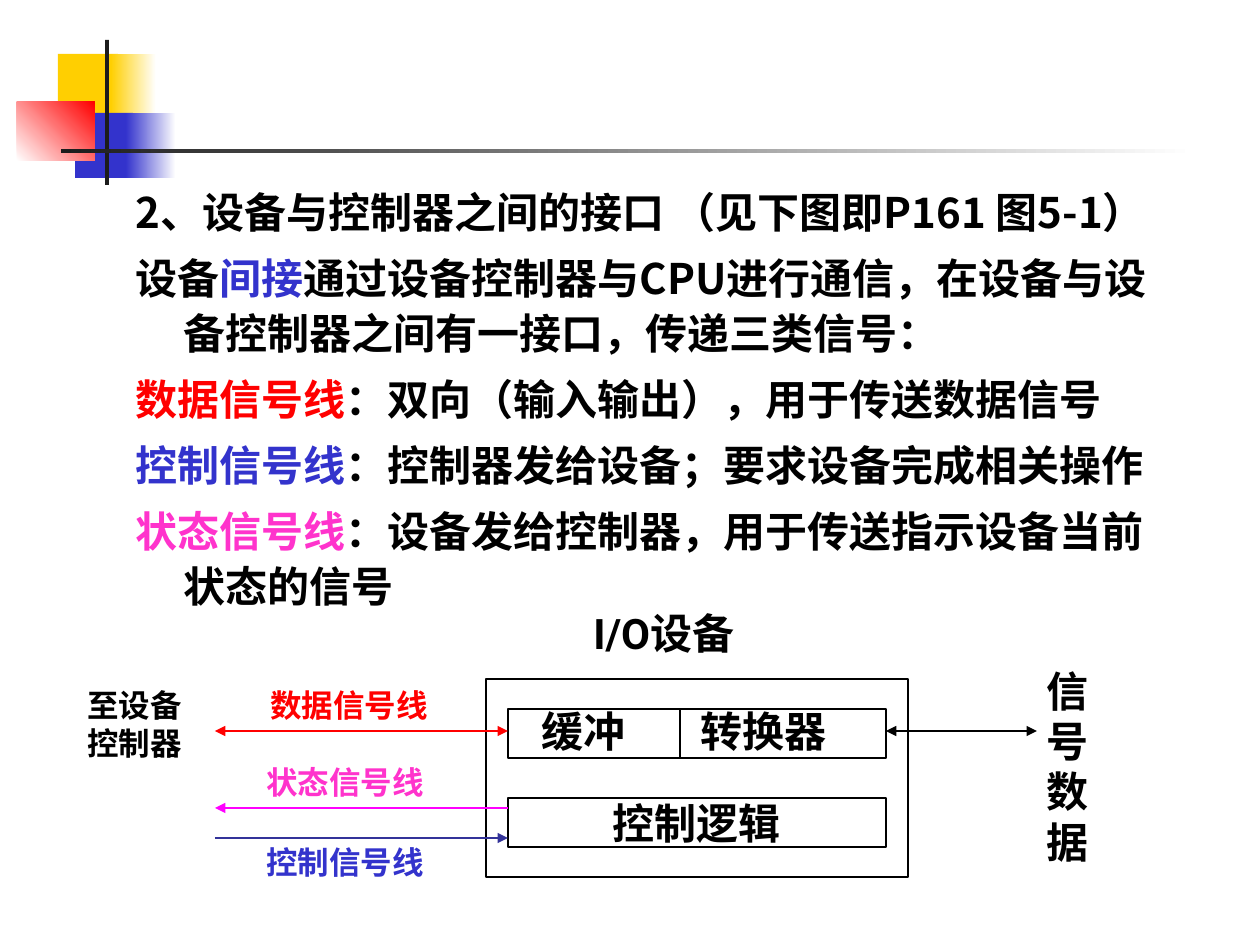
from pptx import Presentation
from pptx.dml.color import RGBColor
from pptx.enum.shapes import MSO_CONNECTOR as CONNECTOR, MSO_SHAPE as SHAPE
from pptx.enum.text import MSO_ANCHOR as ANCHOR, MSO_AUTO_SIZE as AUTO_SIZE, PP_ALIGN as ALIGN
from pptx.oxml.ns import qn
from pptx.util import Emu, Pt
from lxml.etree import SubElement

COLORS = {
    "black": "000000", "white": "FFFFFF", "ink": "1C1C1C", "yellow": "FFCF01",
    "blue": "3333CC", "red": "FF0000", "pink": "FF33CC",
    "magenta": "FF00FF", "navy": "333399",
}


def px(length):
    return Emu(round(length * 914400 / 126))


def rgb(name):
    return RGBColor.from_string(COLORS[name])


class SlideBuilder:
    body_font = "Noto Sans CJK SC"
    label_font = "Roboto"
    line_width = Pt(0.75)

    def __init__(self, slide):
        self.slide = slide

    def set_font(self, paragraph, name, size):
        paragraph.font.name = name
        paragraph.font.size = Pt(size)
        paragraph.font.bold = True
        # East Asian text needs its own typeface, on each run
        for run in paragraph.runs:
            properties = run._r.get_or_add_rPr()
            SubElement(properties, qn("a:ea"), typeface=self.body_font)

    def fill_text(self, frame, text, size, color, align):
        frame.text = text
        for paragraph in frame.paragraphs:
            paragraph.alignment = align
            paragraph.font.color.rgb = rgb(color)
            self.set_font(paragraph, self.label_font, size)

    def rectangle(self, left, top, width, height):
        shape = self.slide.shapes.add_shape(
            SHAPE.RECTANGLE, px(left), px(top), px(width), px(height))
        shape.shadow.inherit = False
        return shape

    def block(self, box, color, fade_to=None, angle=0):
        shape = self.rectangle(*box)
        shape.line.fill.background()
        if fade_to is None:
            shape.fill.solid()
            shape.fill.fore_color.rgb = rgb(color)
            return
        shape.fill.gradient()
        shape.fill.gradient_angle = angle
        for stop, name in zip(shape.fill.gradient_stops, (color, fade_to)):
            stop.color.rgb = rgb(name)

    def frame_box(self, box, text=None):
        shape = self.rectangle(*box)
        shape.fill.background()
        shape.line.color.rgb = rgb("black")
        shape.line.width = self.line_width
        if text:
            shape.text_frame.word_wrap = False
            shape.text_frame.vertical_anchor = ANCHOR.MIDDLE
            self.fill_text(shape.text_frame, text, 24, "black", ALIGN.CENTER)

    def label(self, box, text, size=24, color="black"):
        shape = self.slide.shapes.add_textbox(*map(px, box))
        shape.text_frame.word_wrap = False
        self.fill_text(shape.text_frame, text, size, color, ALIGN.LEFT)

    def line(self, start, end, color="black", arrows=()):
        connector = self.slide.shapes.add_connector(
            CONNECTOR.STRAIGHT, *map(px, start + end))
        connector.line.color.rgb = rgb(color)
        connector.line.width = self.line_width
        for side in arrows:
            SubElement(connector.line._get_or_add_ln(), qn(f"a:{side}End"), type="triangle")
        SubElement(connector._element.spPr, qn("a:effectLst"))

    def body(self, box, paragraphs):
        shape = self.slide.placeholders[1]
        shape.left, shape.top, shape.width, shape.height = map(px, box)
        frame = shape.text_frame
        frame.auto_size = AUTO_SIZE.NONE
        for index, runs in enumerate(paragraphs):
            paragraph = frame.add_paragraph() if index else frame.paragraphs[0]
            paragraph.line_spacing = 1.1
            paragraph.space_before = Pt(6)
            properties = paragraph._p.get_or_add_pPr()
            properties.set("marL", str(px(48)))
            properties.set("indent", str(px(-48)))
            SubElement(properties, qn("a:buNone"))
            for text, color in runs:
                run = paragraph.add_run()
                run.text = text
                run.font.color.rgb = rgb(color)
            self.set_font(paragraph, self.body_font, 24)


def main():
    presentation = Presentation()
    presentation.slide_width, presentation.slide_height = px(1260), px(945)
    slide = presentation.slides.add_slide(presentation.slide_layouts[1])
    title = slide.shapes.title._element
    title.getparent().remove(title)
    builder = SlideBuilder(slide)

    # Corner decoration
    builder.block((58, 54, 60, 66), "yellow")
    builder.block((111, 54, 45, 66), "yellow", "white")
    builder.block((75, 113, 58, 65), "blue")
    builder.block((126, 113, 50, 65), "blue", "white")
    builder.block((17, 102, 78, 59), "white", "red", angle=45)
    builder.block((105, 40, 4, 145), "ink")
    builder.block((61, 149, 1134, 4), "ink", "white")

    # Explanation
    builder.body((123, 175, 1071, 693), [
        [("2、设备与控制器之间的接口 （见下图即P161 图5-1）", "black")],
        [("设备", "black"), ("间接", "blue"),
         ("通过设备控制器与CPU进行通信，在设备与设备控制器之间有一接口，传递三类信号：", "black")],
        [("数据信号线", "red"), ("：双向（输入输出），用于传送数据信号", "black")],
        [("控制信号线", "blue"), ("：控制器发给设备；要求设备完成相关操作", "black")],
        [("状态信号线", "pink"),
         ("：设备发给控制器，用于传送指示设备当前状态的信号", "black")],
    ])

    # I/O device
    builder.label((581, 601, 186, 63), "I/O设备")
    builder.frame_box((486, 679, 422, 198))
    builder.frame_box((508, 798, 378, 49), "控制逻辑")
    builder.frame_box((508, 709, 378, 49))
    builder.line((680, 709), (680, 758))
    builder.label((529, 699, 120, 63), "缓冲")
    builder.label((688, 699, 151, 63), "转换器")

    # Signal lines: y, colour, arrowheads
    for y, color, arrows in [
        (731, "red", ("head", "tail")),
        (808, "magenta", ("head",)),
        (838, "navy", ("tail",)),
    ]:
        builder.line((215, y), (508, y), color, arrows)
    builder.line((886, 731), (1037, 731), arrows=("head", "tail"))

    # Signal labels
    builder.label((258, 680, 183, 50), "数据信号线", 18, "red")
    builder.label((254, 757, 183, 50), "状态信号线", 18, "pink")
    builder.label((254, 837, 183, 50), "控制信号线", 18, "blue")
    builder.label((75, 680, 120, 88), "至设备\n控制器", 18)
    builder.label((1034, 659, 108, 113), "信号\n数据")

    presentation.save("out.pptx")


if __name__ == "__main__":
    main()
